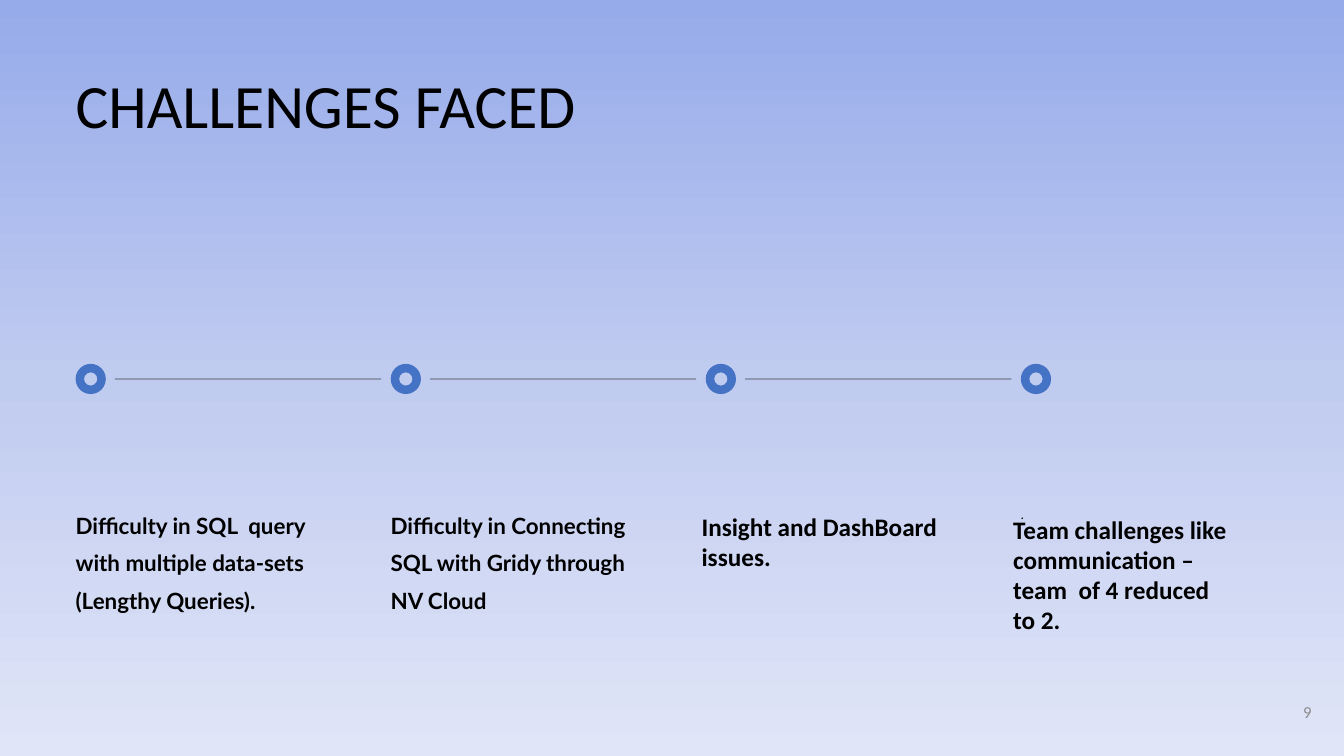
import copy

import pptx
import pptx.dml.color
import pptx.enum.dml
import pptx.enum.shapes
import pptx.enum.text
import pptx.oxml
import pptx.oxml.ns
import pptx.util
from pptx.util import Inches

RGBColor = pptx.dml.color.RGBColor
ALIGN = pptx.enum.text.PP_ALIGN
ANCHOR = pptx.enum.text.MSO_ANCHOR
AUTO_SIZE = pptx.enum.text.MSO_AUTO_SIZE
SHAPE = pptx.enum.shapes.MSO_SHAPE
CONNECTOR = pptx.enum.shapes.MSO_CONNECTOR

BLACK = RGBColor(0x00, 0x00, 0x00)
GREY = RGBColor(0x8C, 0x8C, 0x8C)
BLUE = RGBColor(0x44, 0x72, 0xC4)
SKY = (
    (0, RGBColor(0x96, 0xAB, 0xEA)),
    (0.5, RGBColor(0xC0, 0xCB, 0xF0)),
    (1, RGBColor(0xE0, 0xE5, 0xF7)),
)

# Timeline grid, in inches
LEFT = 0.75
PITCH = 12.5 / 4
MILESTONES = 4
LINE_Y = 3.76
RING = 0.3
LINE_GAP = 0.39
LINE_LENGTH = 2.64
NOTE_TOP = 4.97
NOTE_WIDTH = 2.45


def set_background(s):
    fill = s.background.fill
    fill.gradient()
    fill.gradient_angle = 270
    gs_list = fill._fill._gradFill.gsLst
    gs_list.append(copy.deepcopy(gs_list[0]))
    for stop, (position, color) in zip(fill.gradient_stops, SKY):
        stop.position = position
        stop.color.rgb = color


def write(tf, lines, font, size, color=BLACK, bold=False, spacing=None, align=ALIGN.LEFT):
    for i, line in enumerate(lines):
        p = tf.add_paragraph() if i else tf.paragraphs[0]
        p.alignment = align
        p.line_spacing = spacing
        r = p.add_run()
        r.text = line
        r.font.name = font
        r.font.size = pptx.util.Pt(size)
        r.font.bold = bold
        r.font.color.rgb = color


def clear_insets(tf):
    tf.margin_left = tf.margin_right = tf.margin_top = tf.margin_bottom = 0


def add_title(s, text):
    sp = s.shapes.title
    sp.left, sp.top, sp.width, sp.height = map(Inches, (LEFT, 0.75, 9.45, 1.05))
    tf = sp.text_frame
    clear_insets(tf)
    tf.auto_size = AUTO_SIZE.NONE
    tf.vertical_anchor = ANCHOR.TOP
    write(tf, [text], "Calibri", 44, spacing=0.9)


def add_text(s, box, lines, font, size, inset=True, grow=True, anchor=ANCHOR.TOP, **style):
    sp = s.shapes.add_textbox(*map(Inches, box))
    tf = sp.text_frame
    tf.word_wrap = True
    tf.auto_size = AUTO_SIZE.SHAPE_TO_FIT_TEXT if grow else AUTO_SIZE.NONE
    tf.vertical_anchor = anchor
    if not inset:
        clear_insets(tf)
    write(tf, lines, font, size, **style)


def add_ring(s, x):
    sp = s.shapes.add_shape(
        SHAPE.DONUT, Inches(x), Inches(LINE_Y - RING / 2), Inches(RING), Inches(RING))
    sp.adjustments[0] = 0.28
    sp.shadow.inherit = False
    sp.fill.solid()
    sp.fill.fore_color.rgb = BLUE
    sp.line.fill.background()


def add_line(s, x):
    start = x + LINE_GAP
    line = s.shapes.add_connector(
        CONNECTOR.STRAIGHT, Inches(start), Inches(LINE_Y),
        Inches(start + LINE_LENGTH), Inches(LINE_Y))
    line.line.width = pptx.util.Pt(0.75)
    line.line.color.rgb = BLACK
    # Transparency and no shadow
    sp_pr = line._element.spPr
    color = sp_pr.find(".//" + pptx.oxml.ns.qn("a:srgbClr"))
    ns = pptx.oxml.ns.nsdecls("a")
    color.append(pptx.oxml.parse_xml(f'<a:alpha {ns} val="39000"/>'))
    sp_pr.append(pptx.oxml.parse_xml(f"<a:effectLst {ns}/>"))


def main():
    prs = pptx.Presentation()
    prs.slide_width, prs.slide_height = Inches(13.33), Inches(7.5)
    s = prs.slides.add_slide(prs.slide_layouts[5])
    set_background(s)
    add_title(s, "CHALLENGES FACED")

    # Timeline
    columns = [LEFT + i * PITCH for i in range(MILESTONES)]
    for x in columns[:-1]:
        add_line(s, x)
    for x in columns:
        add_ring(s, x)

    # Widely spaced notes
    notes = (
        (0, 1.51, "Difficulty in SQL  query with multiple data-sets (Lengthy Queries).", 16, True),
        (1, 1.51, "Difficulty in Connecting  SQL with Gridy through NV Cloud", 16, True),
        (3, 0.21, ".", 9, False),
    )
    for column, height, text, size, bold in notes:
        add_text(s, (columns[column], NOTE_TOP, NOTE_WIDTH, height), [text], "Lato", size,
                 inset=False, bold=bold, spacing=1.4)

    # Compact notes
    add_text(s, (6.86, 5.02, 2.62, 0.71), ["Insight and DashBoard issues."],
             "Calibri", 18, bold=True)
    add_text(s, (9.95, 5.05, NOTE_WIDTH, 1.62),
             ["Team challenges like communication – team  of 4 reduced", "to 2."],
             "Calibri", 18, bold=True)

    # Slide number
    add_text(s, (12.21, 6.93, 0.8, 0.27), ["9"], "Calibri", 12, inset=False, grow=False,
             anchor=ANCHOR.MIDDLE, color=GREY, align=ALIGN.RIGHT)

    prs.save("out.pptx")


if __name__ == "__main__":
    main()
